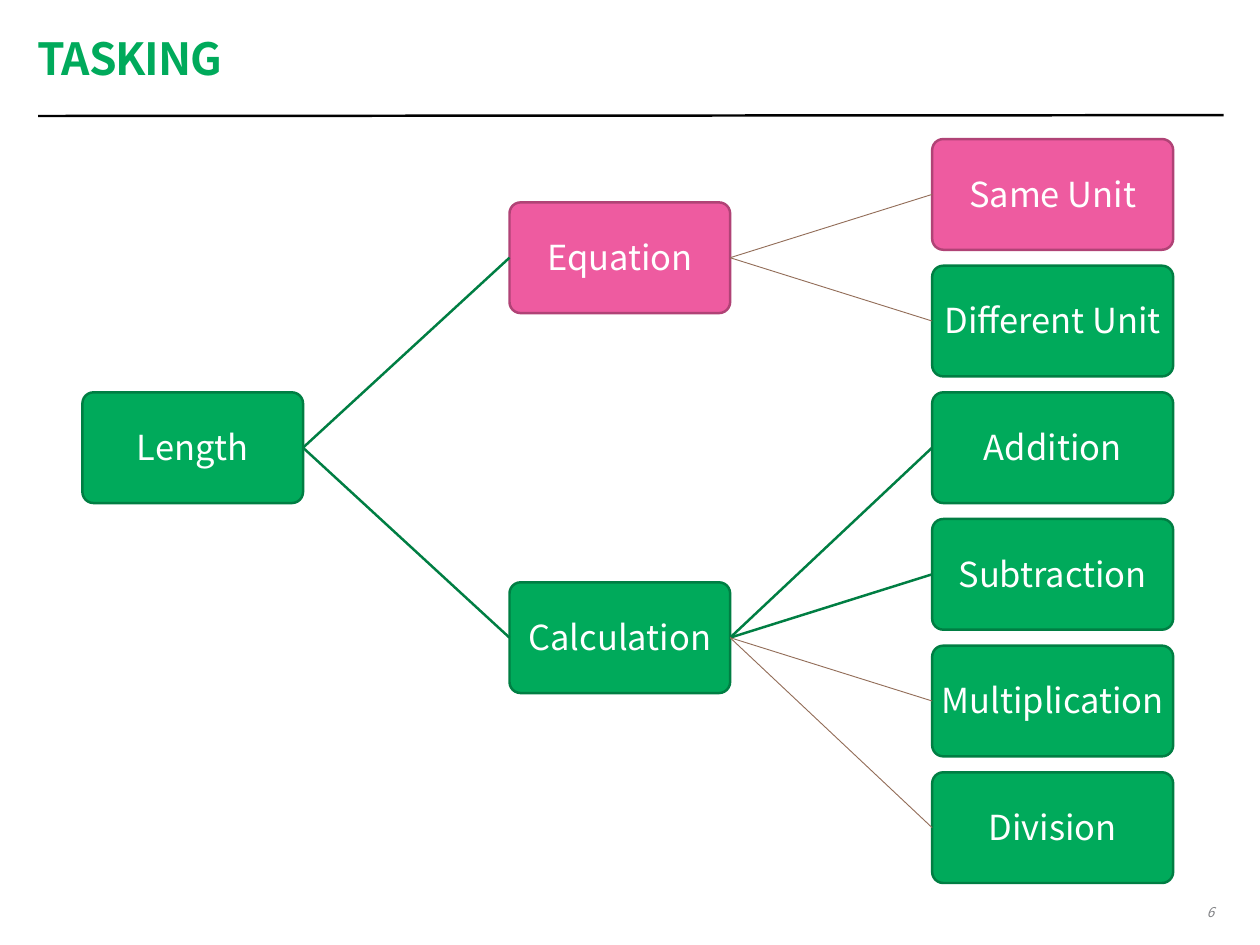
from lxml.etree import SubElement
from pptx import Presentation
from pptx.dml.color import RGBColor
from pptx.enum.shapes import MSO_CONNECTOR as Connector, MSO_SHAPE as Shape
from pptx.enum.text import MSO_ANCHOR as Anchor, PP_ALIGN as Align
from pptx.oxml.ns import qn
from pptx.util import Inches, Pt

COLORS = {
    "green": "00AA5B",
    "dark green": "007E43",
    "pink": "EE5BA0",
    "dark pink": "B04376",
    "brown": "926D58",
    "gray": "808184",
    "black": "000000",
    "white": "FFFFFF",
}
FONT = "Noto Sans CJK SC"
BOX_HEIGHT = 1.25
LEAF_TOP = 1.57
LEAF_STEP = 1.43
COLUMNS = [(0.93, 2.49), (5.75, 2.49), (10.52, 2.72)]


def write(shape, text, size=28, color="white", align=Align.CENTER, anchor=Anchor.MIDDLE,
          margin=0.05, wrap=True, bold=False, italic=False, line_spacing=None, tracking=0):
    frame = shape.text_frame
    frame.word_wrap = wrap
    frame.vertical_anchor = anchor
    frame.margin_left = frame.margin_right = Inches(margin)
    frame.margin_top = frame.margin_bottom = Inches(margin)
    paragraph = frame.paragraphs[0]
    paragraph.alignment = align
    paragraph.line_spacing = line_spacing
    run = paragraph.add_run()
    run.text = text
    run.font.name = FONT
    run.font.size = Pt(size)
    run.font.bold = bold
    run.font.italic = italic
    run.font.color.rgb = RGBColor.from_string(COLORS[color])
    if tracking:
        run._r.get_or_add_rPr().set("spc", str(int(tracking * 100)))


def add_line(start, end, color, width):
    line = slide.shapes.add_connector(
        Connector.STRAIGHT, *[Inches(value) for value in (*start, *end)])
    line.line.color.rgb = RGBColor.from_string(COLORS[color])
    line.line.width = Pt(width)
    SubElement(line._element.spPr, qn("a:effectLst"))
    return line


presentation = Presentation()
presentation.slide_width = Inches(14.22)
presentation.slide_height = Inches(10.67)
slide = presentation.slides.add_slide(presentation.slide_layouts[6])

add_line((0.43, 1.31), (13.81, 1.3), "black", 2)
title = slide.shapes.add_textbox(Inches(0.42), Inches(0.33), Inches(13.39), Inches(0.79))
write(title, "TASKING", size=36, color="green", align=Align.LEFT, margin=0,
      bold=True, line_spacing=0.7, tracking=-0.9)
page_number = slide.shapes.add_textbox(Inches(13.51), Inches(10.12), Inches(0.29), Inches(0.32))
write(page_number, "6", size=11, color="gray", align=Align.RIGHT, anchor=Anchor.TOP,
      margin=0.1, wrap=False, italic=True)

# name, column, row in leaf steps, fill
topics = [
    ("Length", 0, 2, "green"),
    ("Equation", 1, 0.5, "pink"),
    ("Calculation", 1, 3.5, "green"),
    ("Same Unit", 2, 0, "pink"),
    ("Different Unit", 2, 1, "green"),
    ("Addition", 2, 2, "green"),
    ("Subtraction", 2, 3, "green"),
    ("Multiplication", 2, 4, "green"),
    ("Division", 2, 5, "green"),
]
boxes = {}
for name, column, row, fill in topics:
    left, width = COLUMNS[column]
    box = slide.shapes.add_shape(
        Shape.ROUNDED_RECTANGLE, Inches(left), Inches(LEAF_TOP + row * LEAF_STEP),
        Inches(width), Inches(BOX_HEIGHT))
    box.adjustments[0] = 0.1
    box.shadow.inherit = False
    box.fill.solid()
    box.fill.fore_color.rgb = RGBColor.from_string(COLORS[fill])
    box.line.color.rgb = RGBColor.from_string(COLORS["dark " + fill])
    box.line.width = Pt(2)
    write(box, name, line_spacing=Pt(32))
    boxes[name] = box

branches = [
    ("Length", "Equation", "dark green", 2),
    ("Length", "Calculation", "dark green", 2),
    ("Equation", "Same Unit", "brown", 0.75),
    ("Equation", "Different Unit", "brown", 0.75),
    ("Calculation", "Addition", "dark green", 2),
    ("Calculation", "Subtraction", "dark green", 2),
    ("Calculation", "Multiplication", "brown", 0.75),
    ("Calculation", "Division", "brown", 0.75),
]
for parent, child, color, width in branches:
    branch = add_line((0, 0), (1, 1), color, width)
    branch.begin_connect(boxes[parent], 3)
    branch.end_connect(boxes[child], 1)

presentation.save("out.pptx")
